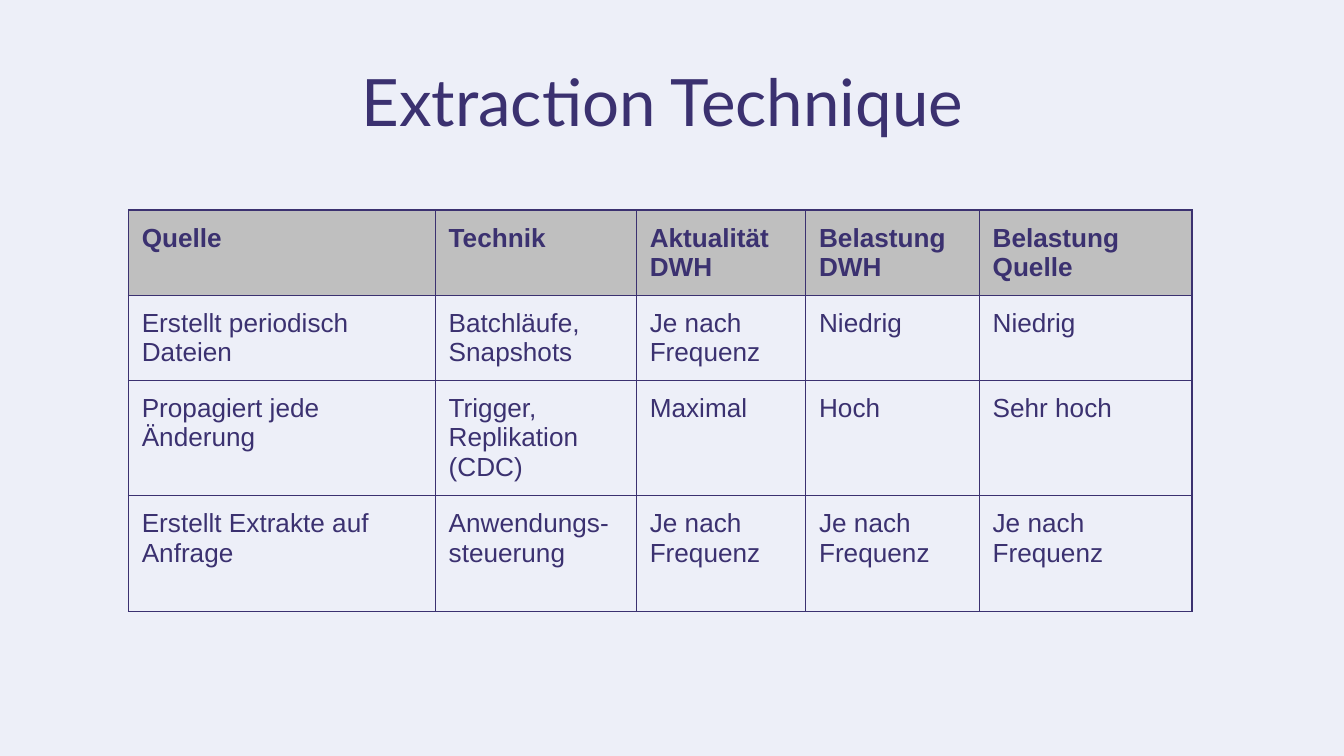
"""Build the slide comparing extraction techniques for a data warehouse."""
from lxml import etree
from pptx import Presentation
from pptx.dml.color import RGBColor
from pptx.enum.text import MSO_ANCHOR, MSO_AUTO_SIZE, PP_ALIGN
from pptx.oxml.ns import qn
from pptx.util import Cm, Pt

TOP, CENTER, NO_FIT = MSO_ANCHOR.TOP, PP_ALIGN.CENTER, MSO_AUTO_SIZE.NONE
INK, HEADER, PAPER = "3B3170", "BFBFBF", "EDEFF8"
INSET = Cm(0.25)
TITLE = "Extraction Technique "
ROWS = [
    ("Quelle", "Technik", "Aktualität DWH", "Belastung DWH", "Belastung Quelle"),
    ("Erstellt periodisch Dateien", "Batchläufe, Snapshots", "Je nach Frequenz", "Niedrig", "Niedrig"),
    ("Propagiert jede Änderung", "Trigger, Replikation (CDC)", "Maximal", "Hoch", "Sehr hoch"),
    ("Erstellt Extrakte auf Anfrage", "Anwendungs-\nsteuerung", "Je nach Frequenz",
     "Je nach Frequenz", "Je nach Frequenz"),
]
COL_WIDTHS = (5.8, 3.8, 3.2, 3.28, 4.02)
ROW_HEIGHTS = (1.6, 1.6, 2.18, 2.18)


def color(value):
    return RGBColor.from_string(value)


def style(p, name, size, bold=False):
    p.font.name, p.font.size, p.font.bold = name, Pt(size), bold
    p.font.color.rgb = color(INK)


def set_insets(box):
    box.margin_left = box.margin_right = box.margin_top = box.margin_bottom = INSET
    box.vertical_anchor = TOP


def add_borders(cell):
    tc_pr = cell._tc.get_or_add_tcPr()
    for i, side in enumerate(("a:lnL", "a:lnR", "a:lnT", "a:lnB")):
        ln = etree.Element(qn(side), w=str(Pt(0.75)))
        fill = etree.SubElement(ln, qn("a:solidFill"))
        etree.SubElement(fill, qn("a:srgbClr"), val=INK)
        tc_pr.insert(i, ln)


def add_title(s):
    title = s.shapes.title
    title.left, title.top, title.width, title.height = Cm(1.98), Cm(0.91), Cm(21.4), Cm(1.6)
    tf = title.text_frame
    tf.text = TITLE
    tf.word_wrap, tf.auto_size = True, NO_FIT
    set_insets(tf)
    p = tf.paragraphs[0]
    p.alignment = CENTER
    style(p, "Lato", 35)


def add_comparison(s):
    table = s.shapes.add_table(len(ROWS), len(COL_WIDTHS), Cm(2.43), Cm(3.97),
                               Cm(sum(COL_WIDTHS)), Cm(sum(ROW_HEIGHTS))).table
    table.horz_banding = False
    for column, width in zip(table.columns, COL_WIDTHS):
        column.width = Cm(width)
    for r, (texts, height) in enumerate(zip(ROWS, ROW_HEIGHTS)):
        table.rows[r].height = Cm(height)
        for c, text in enumerate(texts):
            cell = table.cell(r, c)
            cell.text = text
            set_insets(cell)
            if r == 0:
                cell.fill.solid()
                cell.fill.fore_color.rgb = color(HEADER)
            else:
                cell.fill.background()
            for p in cell.text_frame.paragraphs:
                style(p, "Arial", 14, r == 0)
            add_borders(cell)


def main():
    prs = Presentation()
    prs.slide_width, prs.slide_height = Cm(25.4), Cm(14.29)
    s = prs.slides.add_slide(prs.slide_layouts[5])
    s.background.fill.solid()
    s.background.fill.fore_color.rgb = color(PAPER)
    add_title(s)
    add_comparison(s)
    prs.save("out.pptx")


if __name__ == "__main__":
    main()
